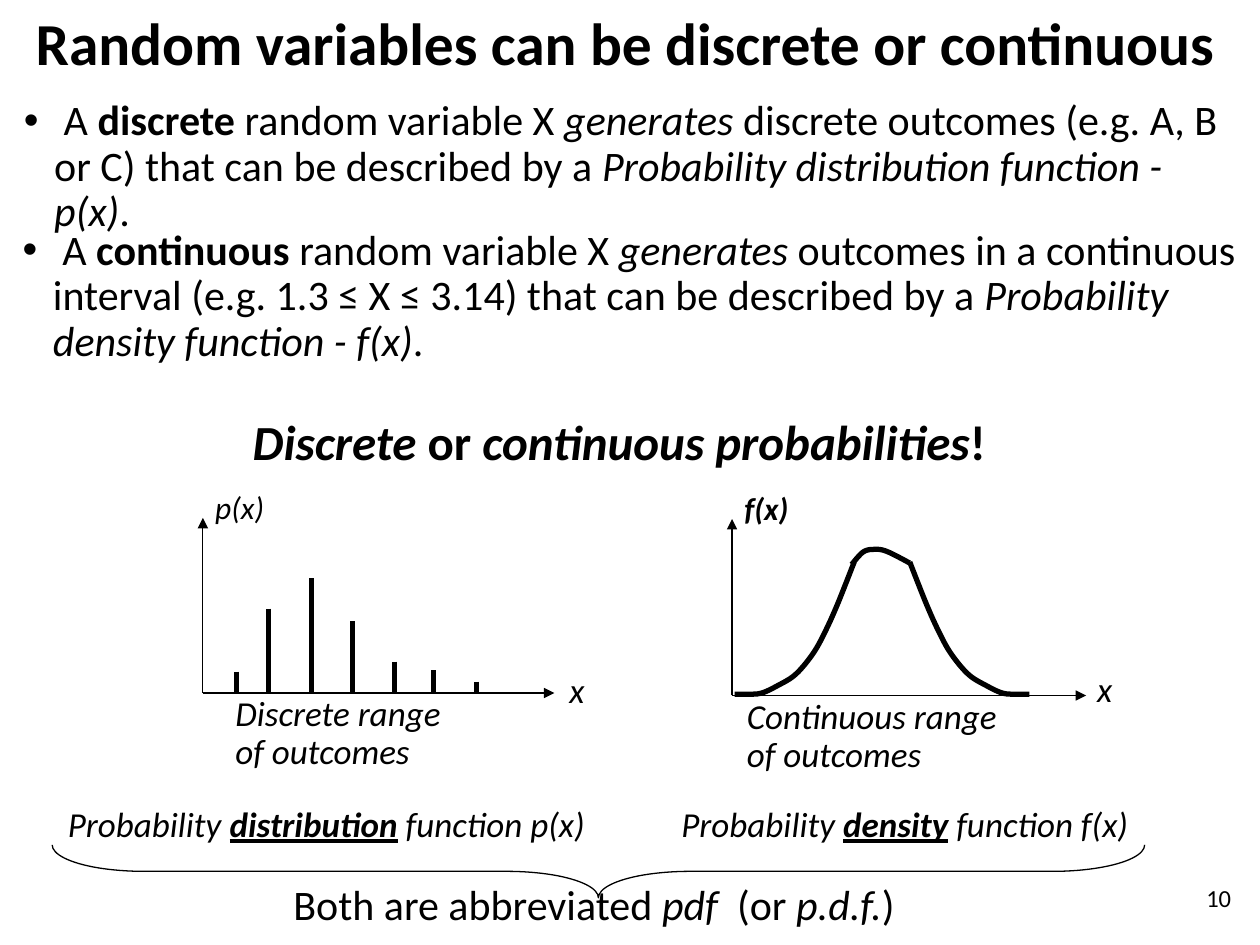
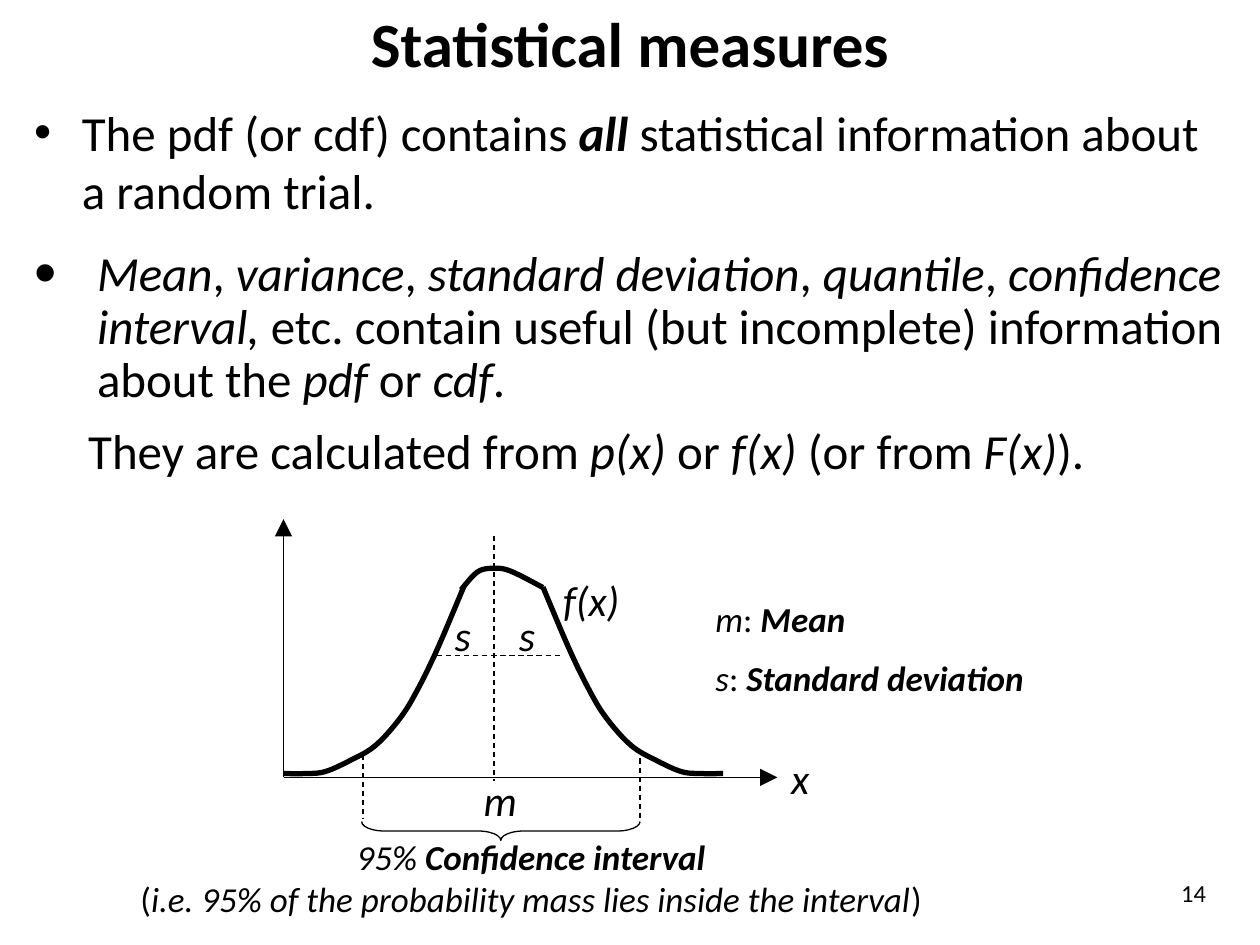
"""Builds two slides on random variables and statistical measures."""
from dataclasses import dataclass
from typing import NamedTuple, Optional

from lxml.etree import SubElement
from pptx import Presentation
from pptx.dml.color import RGBColor
from pptx.enum.dml import MSO_LINE
from pptx.enum.shapes import MSO_CONNECTOR, MSO_SHAPE
from pptx.enum.text import MSO_ANCHOR, MSO_AUTO_SIZE, PP_ALIGN
from pptx.oxml.ns import qn
from pptx.util import Inches, Pt

INK = RGBColor(0x00, 0x00, 0x00)
FONT = "Calibri"
TWO_LISTS_LAYOUT = 3
THIN, THICK = 0.75, 3
CURVE_STEPS = 6
TAIL = ((0, 0), (0.12, 0), (0.23, 0.01), (0.37, 0.07), (0.51, 0.15),
        (0.65, 0.3), (0.75, 0.46), (0.86, 0.68), (1, 1))
CAP = ((0, 0), (0.2, 0.83), (0.4, 1), (0.61, 0.86), (1, 0.1))


class Span(NamedTuple):
    """Text with a style made of the letters b, i and u."""
    text: str
    style: str = ""


class Place(NamedTuple):
    """Left, top, width and height in inches."""
    left: float
    top: float
    width: float
    height: float


@dataclass(frozen=True)
class Para:
    """A paragraph; bullet is the bullet size in percent, 0 for none."""
    spans: tuple[Span, ...]
    align: Optional[PP_ALIGN] = None
    spacing: float = 1.0
    before: float = 0
    margin: float = 0
    bullet: int = 0


@dataclass(frozen=True)
class TextBlock:
    """Paragraphs of one text size at a place."""
    place: Place
    size: float
    paras: tuple[Para, ...]


@dataclass(frozen=True)
class Axes:
    """Axes meeting at left and base, ending in arrowheads."""
    left: float
    base: float
    right: float
    top: float
    head: str = "med"


@dataclass(frozen=True)
class Bell:
    """A bell curve made of two mirrored tails and a cap."""
    left: float
    right: float
    base: float
    shoulder: float
    peak: float
    tail_width: float


def line_of(*spans: Span, **settings) -> tuple[Para, ...]:
    """Return a single paragraph as a tuple."""
    return (Para(spans, **settings),)


def label(left: float, top: float, width: float, text: str, size: float, style: str = "i",
          spacing: float = 1.0) -> TextBlock:
    """Describe a label of a diagram."""
    return TextBlock(Place(left, top, width, 0.45), size,
                     line_of(Span(text, style), spacing=spacing))


def set_place(shape, place: Place) -> None:
    """Move and size a shape."""
    shape.left, shape.top, shape.width, shape.height = map(Inches, place)


def set_bullet(paragraph, para: Para) -> None:
    """Set the indents and the bullet of a paragraph."""
    properties = paragraph._p.get_or_add_pPr()
    properties.set("marL", str(Inches(para.margin)))
    properties.set("indent", str(-Inches(para.margin) if para.bullet else 0))
    if para.bullet:
        SubElement(properties, qn("a:buSzPct"), val=str(para.bullet * 1000))
        SubElement(properties, qn("a:buFont"), typeface="Arial")
        SubElement(properties, qn("a:buChar"), char="•")
    else:
        SubElement(properties, qn("a:buNone"))


def write(shape, block: TextBlock) -> None:
    """Place a shape and fill it with formatted paragraphs."""
    set_place(shape, block.place)
    frame = shape.text_frame
    frame.word_wrap = True
    frame.auto_size = MSO_AUTO_SIZE.NONE
    for index, para in enumerate(block.paras):
        paragraph = frame.add_paragraph() if index else frame.paragraphs[0]
        paragraph.alignment = para.align
        paragraph.line_spacing = para.spacing
        paragraph.space_before = Pt(para.before)
        set_bullet(paragraph, para)
        for span in para.spans:
            run = paragraph.add_run()
            run.text = span.text
            font = run.font
            font.name, font.size = FONT, Pt(block.size)
            font.color.rgb = INK
            font.bold, font.italic, font.underline = (key in span.style for key in "biu")


def add_text(page, block: TextBlock) -> None:
    """Add a text box."""
    write(page.shapes.add_textbox(0, 0, 0, 0), block)


def add_line(page, start: tuple[float, float], end: tuple[float, float],
             width: float = THIN, head: str = "", dashed: bool = False) -> None:
    """Add a straight line, with an arrowhead at its end if head gives a size."""
    points = [Inches(value) for value in (*start, *end)]
    connector = page.shapes.add_connector(MSO_CONNECTOR.STRAIGHT, *points)
    connector.line.color.rgb = INK
    connector.line.width = Pt(width)
    if dashed:
        connector.line.dash_style = MSO_LINE.DASH
    if head:
        SubElement(connector.line._get_or_add_ln(), qn("a:tailEnd"),
                   type="triangle", w=head, len=head)
    SubElement(connector._element.spPr, qn("a:effectLst"))


def add_axes(page, axes: Axes) -> None:
    """Draw both axes from their origin."""
    origin = (axes.left, axes.base)
    for end in ((axes.right, axes.base), (axes.left, axes.top)):
        add_line(page, origin, end, head=axes.head)


def smooth(knots: list[tuple[float, float]]) -> list[tuple[float, float]]:
    """Return points of a Catmull-Rom spline through the knots."""
    padded = [knots[0], *knots, knots[-1]]
    points = [knots[0]]
    for a, b, c, d in zip(padded, padded[1:], padded[2:], padded[3:]):
        for step in range(1, CURVE_STEPS + 1):
            t = step / CURVE_STEPS
            points.append(tuple(
                (2 * q + (r - p) * t + (2 * p - 5 * q + 4 * r - s) * t ** 2
                 + (3 * q - p - 3 * r + s) * t ** 3) / 2
                for p, q, r, s in zip(a, b, c, d)))
    return points


def add_curve(page, knots: tuple, left: float, base: float, width: float, height: float) -> None:
    """Draw unit knots scaled from a start point; a negative width mirrors them."""
    points = [(Inches(left + width * x), Inches(base - height * y))
              for x, y in smooth(list(knots))]
    builder = page.shapes.build_freeform(*points[0])
    builder.add_line_segments(points[1:], close=False)
    curve = builder.convert_to_shape()
    curve.shadow.inherit = False
    curve.fill.background()
    curve.line.color.rgb = INK
    curve.line.width = Pt(THICK)


def add_bell(page, bell: Bell) -> None:
    """Draw the two tails and the cap."""
    rise = bell.base - bell.shoulder
    add_curve(page, TAIL, bell.left, bell.base, bell.tail_width, rise)
    add_curve(page, TAIL, bell.right, bell.base, -bell.tail_width, rise)
    cap_left = bell.left + bell.tail_width - 0.02
    cap_width = bell.right - bell.tail_width - cap_left
    cap_base = bell.shoulder + 0.02
    add_curve(page, CAP, cap_left, cap_base, cap_width, cap_base - bell.peak)


def add_brace(page, place: Place, bend: float) -> None:
    """Add a brace turned to point down; place is its unturned frame."""
    brace = page.shapes.add_shape(MSO_SHAPE.LEFT_BRACE, *map(Inches, place))
    brace.rotation = 270
    brace.adjustments[0] = bend
    brace.shadow.inherit = False
    brace.fill.background()
    brace.line.color.rgb = INK
    brace.line.width = Pt(THIN)


def add_page(deck, title: TextBlock, lists: tuple[TextBlock, TextBlock], number: TextBlock):
    """Add a slide with its title, two lists and slide number."""
    page = deck.slides.add_slide(deck.slide_layouts[TWO_LISTS_LAYOUT])
    write(page.shapes.title, title)
    page.shapes.title.text_frame.vertical_anchor = MSO_ANCHOR.MIDDLE
    for index, block in enumerate(lists, start=1):
        write(page.placeholders[index], block)
    add_text(page, number)
    return page


def heading(place: Place, text: str, size: float) -> TextBlock:
    """Describe a centred bold line."""
    return TextBlock(place, size, line_of(Span(text, "b"), align=PP_ALIGN.CENTER))


def page_number(place: Place, text: str) -> TextBlock:
    """Describe a slide number."""
    return TextBlock(place, 14, line_of(Span(text), align=PP_ALIGN.RIGHT))


def build_variables(deck) -> None:
    """Build the slide on discrete and continuous variables."""
    bullet = {"spacing": 0.9, "margin": 0.24, "bullet": 100}
    discrete = TextBlock(Place(0.09, 0.74, 9.83, 1.2), 24, line_of(
        Span(" A "), Span("discrete ", "b"), Span("random variable X "), Span("generates", "i"),
        Span(" discrete outcomes (e.g. A, B or C) that can be described by a "),
        Span("Probability distribution function - p(x)", "i"), Span("."), **bullet))
    continuous = TextBlock(Place(0.08, 1.77, 9.83, 1.19), 24, line_of(
        Span(" A "), Span("continuous", "b"), Span(" random variable X "), Span("generates", "i"),
        Span(" outcomes in a continuous interval (e.g. 1.3 ≤ X ≤ 3.14) that can be described by a "),
        Span("Probability density function - f(x)", "i"), Span("."), **bullet))
    page = add_page(
        deck, heading(Place(0, 0, 9.92, 0.67), "Random variables can be discrete or continuous", 34),
        (discrete, continuous), page_number(Place(9.32, 6.96, 0.55, 0.37), "10"))
    add_text(page, TextBlock(Place(1.58, 3.22, 6.67, 0.56), 28, line_of(
        Span("Discrete ", "bi"), Span("or ", "b"), Span("continuous probabilities", "bi"),
        Span("!", "b"), align=PP_ALIGN.CENTER)))

    add_axes(page, Axes(1.61, 5.5, 4.4, 4.11))
    for x, top in ((1.88, 5.33), (2.13, 4.83), (2.47, 4.59), (2.8, 4.93),
                   (3.13, 5.25), (3.44, 5.32), (3.78, 5.41)):
        add_line(page, (x, top), (x, 5.5), THICK)
    add_axes(page, Axes(5.81, 5.52, 8.62, 4.12))
    add_bell(page, Bell(5.83, 8.17, 5.51, 4.46, 4.36, 0.95))

    for block in (label(1.61, 3.82, 0.89, "p(x)", 18), label(5.81, 3.83, 0.89, "f(x)", 18, "bi"),
                  label(4.42, 5.26, 0.5, "x", 20), label(8.61, 5.25, 0.5, "x", 20),
                  label(1.77, 5.48, 2, "Discrete range of outcomes", 20, spacing=0.9),
                  label(5.83, 5.5, 2.33, "Continuous range of outcomes", 20, spacing=0.9)):
        add_text(page, block)
    for left, width, kind, name in ((0.44, 4.33, "distribution", "p(x)"),
                                    (5.31, 3.83, "density", "f(x)")):
        add_text(page, TextBlock(Place(left, 6.32, width, 0.43), 20, line_of(
            Span("Probability ", "i"), Span(kind, "biu"), Span(f" function {name}", "i"))))
    add_brace(page, Place(4.54, 2.58, 0.42, 8.67), 1.73)
    add_text(page, TextBlock(Place(2.23, 6.92, 5.75, 0.5), 24, line_of(
        Span("Both are abbreviated "), Span("pdf", "i"), Span("  (or "),
        Span("p.d.f.", "i"), Span(")"))))


def build_measures(deck) -> None:
    """Build the slide on statistical measures."""
    contents = TextBlock(Place(0.17, 0.76, 9.5, 1.08), 28, line_of(
        Span("The pdf (or cdf) contains "), Span("all", "bi"),
        Span(" statistical information about a random trial."), margin=0.38, bullet=100))
    measures = Para((
        Span("Mean", "i"), Span(", "), Span("variance", "i"), Span(","),
        Span(" standard deviation", "i"), Span(", "), Span("quantile", "i"), Span(", "),
        Span("confidence interval, ", "i"),
        Span("etc. contain useful (but incomplete) information about the "),
        Span("pdf", "i"), Span(" or "), Span("cdf", "i"), Span(".")),
        spacing=0.9, margin=0.5, bullet=130)
    source = Para((
        Span("They are calculated from "), Span("p(x)", "i"), Span(" or "), Span("f(x)", "i"),
        Span(" (or from "), Span("F(x)", "i"), Span(").")), spacing=0.9, before=11, margin=0.43)
    page = add_page(
        deck, heading(Place(0.75, 0, 8.5, 0.67), "Statistical measures", 36),
        (contents, TextBlock(Place(0.17, 1.93, 9.67, 1.99), 28, (measures, source))),
        page_number(Place(9.25, 6.92, 0.42, 0.5), "14"))

    add_axes(page, Axes(2.25, 6.17, 6.17, 4.12, "lg"))
    add_bell(page, Bell(2.25, 5.74, 6.14, 4.66, 4.51, 1.43))
    for start, end in (((3.92, 4.25), (3.92, 6.2)), ((3.47, 5.2), (4.45, 5.2)),
                       ((2.88, 5.99), (2.88, 6.5)), ((5.08, 6.02), (5.08, 6.5))):
        add_line(page, start, end, dashed=True)
    add_brace(page, Place(3.9, 5.49, 0.15, 2.21), 1.2)
    for left, top, text in ((3.74, 6.1, "m"), (3.51, 4.79, "s"), (4.02, 4.79, "s"),
                            (6.18, 5.92, "x"), (4.37, 4.51, "f(x)")):
        add_text(page, label(left, top, 0.75, text, 24))
    add_text(page, TextBlock(Place(5.58, 4.69, 2.83, 0.93), 20, tuple(
        Para((Span(symbol, "i"), Span(": "), Span(meaning, "bi")), before=10 * index)
        for index, (symbol, meaning) in enumerate((("m", "Mean"), ("s", "Standard deviation"))))))
    add_text(page, TextBlock(Place(0.88, 6.58, 6.67, 0.77), 20, (
        Para((Span("95% ", "i"), Span("Confidence interval", "bi")), PP_ALIGN.CENTER),
        Para((Span("("), Span("i.e. 95% of the probability mass lies inside the interval", "i"),
              Span(")")), PP_ALIGN.CENTER))))


def main() -> None:
    """Build and save the deck."""
    deck = Presentation()
    deck.slide_width, deck.slide_height = Inches(10), Inches(7.5)
    build_variables(deck)
    build_measures(deck)
    deck.save("out.pptx")


if __name__ == "__main__":
    main()
